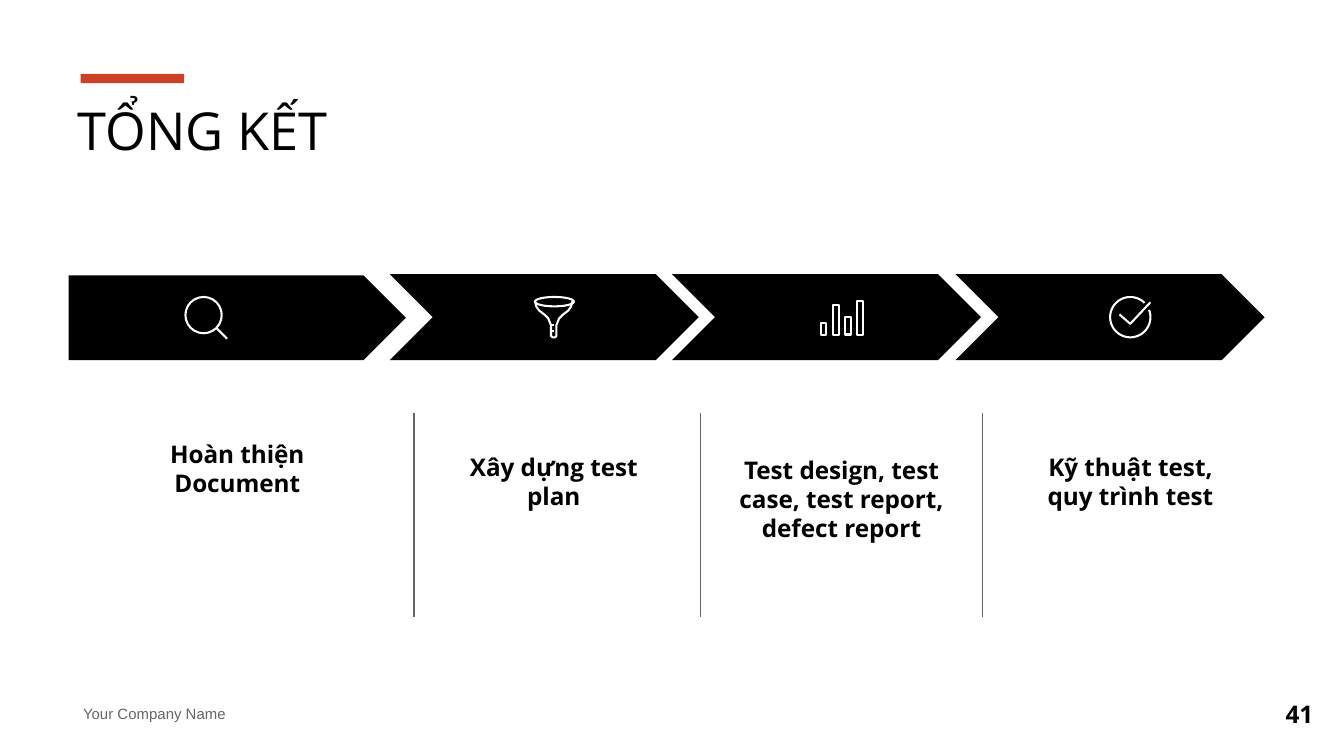
import math

from lxml import etree
from pptx import Presentation
from pptx.dml.color import RGBColor
from pptx.enum.shapes import MSO_CONNECTOR, MSO_SHAPE
from pptx.enum.text import MSO_ANCHOR, PP_ALIGN
from pptx.oxml.ns import qn
from pptx.util import Inches, Pt

RECTANGLE, OVAL = MSO_SHAPE.RECTANGLE, MSO_SHAPE.OVAL
PENTAGON, CHEVRON = MSO_SHAPE.PENTAGON, MSO_SHAPE.CHEVRON
STRAIGHT = MSO_CONNECTOR.STRAIGHT
TOP, MIDDLE = MSO_ANCHOR.TOP, MSO_ANCHOR.MIDDLE
LEFT, CENTER, RIGHT = PP_ALIGN.LEFT, PP_ALIGN.CENTER, PP_ALIGN.RIGHT
COLORS = {"accent": "CC4125", "ink": "000000", "grey": "666666", "white": "FFFFFF"}

deck = Presentation()
deck.slide_width = Inches(10)
deck.slide_height = deck.slide_width * 9 // 16
page = deck.slides.add_slide(deck.slide_layouts[5])


def write(text, place, box=None, size=13, font="Open Sans", color="ink",
          bold=True, align=CENTER, anchor=MIDDLE):
    """Put formatted text in the given box, or in a new text box."""
    place = [Inches(value) for value in place]
    box = box or page.shapes.add_textbox(*place)
    box.left, box.top, box.width, box.height = place
    frame = box.text_frame
    frame.word_wrap = True
    frame.vertical_anchor = anchor
    frame.margin_left = frame.margin_right = Inches(0.1)
    frame.margin_top = frame.margin_bottom = Inches(0.1)
    para = frame.paragraphs[0]
    para.alignment = align
    span = para.add_run()
    span.text = text
    span.font.size, span.font.name, span.font.bold = Pt(size), font, bold
    span.font.color.rgb = RGBColor.from_string(COLORS[color])


def draw(preset=None, place=None, points=None, closed=False, fill=None):
    """Add a filled shape, or a white outline from a preset or from points."""
    if points:
        corners = [(Inches(x), Inches(y)) for x, y in points]
        builder = page.shapes.build_freeform(*corners[0], scale=1.0)
        builder.add_line_segments(corners[1:], close=closed)
        shape = builder.convert_to_shape()
    else:
        shape = page.shapes.add_shape(preset, *[Inches(value) for value in place])
    shape.shadow.inherit = False
    if fill:
        shape.fill.solid()
        shape.fill.fore_color.rgb = RGBColor.from_string(COLORS[fill])
        shape.line.fill.background()
    else:
        shape.fill.background()
        shape.line.color.rgb = RGBColor.from_string(COLORS["white"])
        shape.line.width = Pt(1.1)


# Heading and footer
draw(RECTANGLE, (0.6, 0.55, 0.77, 0.07), fill="accent")
write("TỔNG KẾT", (0.48, 0.63, 4.51, 0.73), box=page.shapes.title,
      size=28, bold=False, align=LEFT, anchor=TOP)
write("Your Company Name", (0.52, 5.18, 1.67, 0.26), size=8, font="Arial",
      color="grey", bold=False, align=LEFT)
write("41", (9.27, 5.1, 0.6, 0.43), align=RIGHT)

# Process arrows
draw(PENTAGON, (0.51, 2.05, 2.51, 0.63), fill="ink")
for left in (2.9, 5, 7.11):
    draw(CHEVRON, (left, 2.04, 2.3, 0.64), fill="ink")

# Step labels and dividers
for text, place in (
    ("Hoàn thiện Document", (0.68, 3.17, 2.17, 0.63)),
    ("Xây dựng test plan", (3.26, 3.26, 1.72, 0.64)),
    ("Test design, test case, test report, defect report", (5.4, 3.26, 1.72, 0.9)),
    ("Kỹ thuật test, quy trình test", (7.55, 3.26, 1.72, 0.64)),
):
    write(text, place)
for x in (3.08, 5.21, 7.31):
    divider = page.shapes.add_connector(
        STRAIGHT, Inches(x), Inches(3.07), Inches(x), Inches(4.59))
    divider.line.color.rgb = RGBColor.from_string(COLORS["grey"])
    divider.line.width = Pt(0.75)
    etree.SubElement(divider.element.spPr, qn("a:effectLst"))

# Magnifier icon
draw(OVAL, (1.38, 2.21, 0.27, 0.27))
draw(points=[(1.61, 2.44), (1.69, 2.52)])

# Funnel icon, its sides mirrored about the axis
axis = 4.12
draw(OVAL, (3.98, 2.21, 0.29, 0.07))
profile = [(0.14, 2.24), (0.13, 2.28), (0.11, 2.31), (0.07, 2.34),
           (0.04, 2.37), (0.02, 2.42), (0.02, 2.5), (0.01, 2.51)]
draw(points=[(axis - reach, y) for reach, y in profile]
     + [(axis + reach, y) for reach, y in reversed(profile)])
for y in (2.42, 2.46):
    draw(points=[(4.1, y), (4.12, y)])

# Bar icon
for index, top in enumerate((2.4, 2.27, 2.36, 2.24)):
    draw(RECTANGLE, (6.11 + 0.09 * index, top, 0.04, 2.49 - top))

# Check icon: an open ring and a tick
ring = [math.radians(angle) for angle in range(-21, 316, 6)]
draw(points=[(8.41 + 0.15 * math.cos(angle), 2.36 + 0.15 * math.sin(angle))
             for angle in ring])
draw(points=[(8.33, 2.34), (8.41, 2.41), (8.56, 2.25)])

deck.save("out.pptx")
